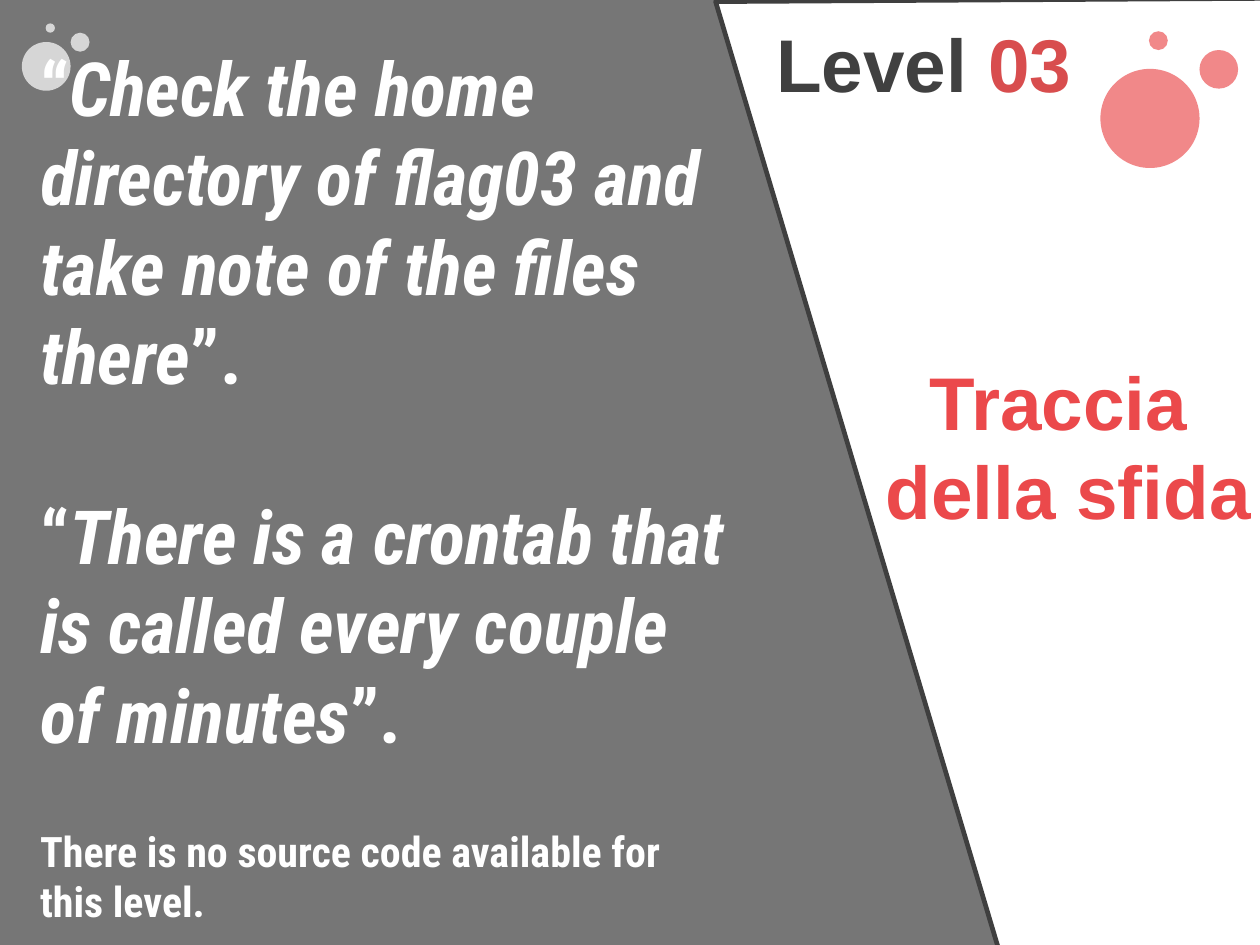
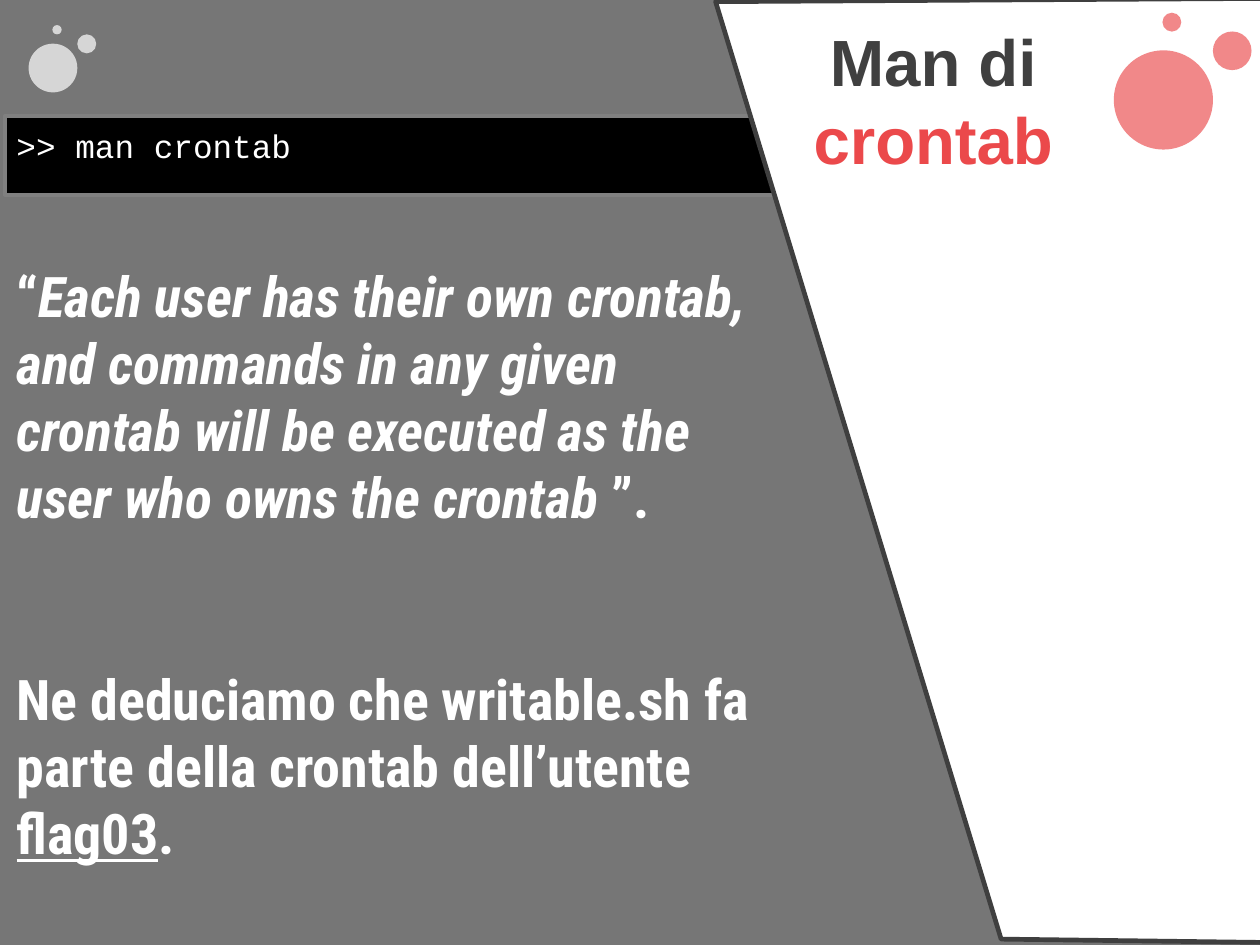
from dataclasses import dataclass

import lxml.etree
import pptx
import pptx.dml.color
import pptx.enum.shapes
import pptx.enum.text
import pptx.oxml.ns
import pptx.presentation
import pptx.shapes.autoshape
import pptx.slide
import pptx.text.text
import pptx.util

Inches = pptx.util.Inches
RGBColor = pptx.dml.color.RGBColor
Preset = pptx.enum.shapes.MSO_SHAPE
Align = pptx.enum.text.PP_ALIGN
Anchor = pptx.enum.text.MSO_ANCHOR
AutoSize = pptx.enum.text.MSO_AUTO_SIZE

# Shared look
WHITE = RGBColor(0xFF, 0xFF, 0xFF)
BLACK = RGBColor(0x00, 0x00, 0x00)
PANEL_GRAY = RGBColor(0x3C, 0x3C, 0x3C)
OUTLINE_GRAY = RGBColor(0x3F, 0x3F, 0x3F)
TITLE_GRAY = RGBColor(0x40, 0x40, 0x40)
TERMINAL_EDGE = RGBColor(0x80, 0x80, 0x80)
RED = RGBColor(0xEB, 0x49, 0x4B)
DARK_RED = RGBColor(0xD8, 0x4D, 0x4E)
HEADING_FONT = "Arial"
BODY_FONT = "Roboto Condensed"
CODE_FONT = "Courier New"
SLIDE_WIDTH = 7.5
SLIDE_HEIGHT = SLIDE_WIDTH * 3 / 4
TITLE_ONLY_LAYOUT = 5


@dataclass(frozen=True)
class Box:
    left: float
    top: float
    width: float
    height: float

    def lengths(self) -> tuple:
        return tuple(Inches(n) for n in (self.left, self.top, self.width, self.height))


@dataclass(frozen=True)
class Run:
    text: str
    color: RGBColor = WHITE
    italic: bool = False
    underline: bool = False


@dataclass(frozen=True)
class Line:
    runs: tuple[Run, ...]
    size: float
    space_before: float = 0


@dataclass(frozen=True)
class Bubble:
    """Offset and diameter, as shares of the largest bubble."""
    across: float
    down: float
    diameter: float


BUBBLES = (Bubble(0, 0, 1), Bubble(1, -0.19, 0.39), Bubble(0.49, -0.38, 0.19))


# Drawing functions
def paint(shape: pptx.shapes.autoshape.Shape, fill: RGBColor, opacity: int = 100,
          line: RGBColor | None = None, line_width: float = 1) -> None:
    shape.shadow.inherit = False
    shape.fill.solid()
    shape.fill.fore_color.rgb = fill
    if opacity < 100:
        color = shape.element.spPr.find(".//" + pptx.oxml.ns.qn("a:srgbClr"))
        lxml.etree.SubElement(color, pptx.oxml.ns.qn("a:alpha"), val=str(opacity * 1000))
    if line is None:
        shape.line.fill.background()
    else:
        shape.line.color.rgb = line
        shape.line.width = pptx.util.Pt(line_width)


def add_run(paragraph: pptx.text.text._Paragraph, text: str, *, size: float, font: str,
            color: RGBColor, bold: bool = True, italic: bool = False,
            underline: bool = False) -> None:
    run = paragraph.add_run()
    run.text = text
    run.font.size = pptx.util.Pt(size)
    run.font.name = font
    run.font.color.rgb = color
    run.font.bold = bold
    run.font.italic = italic
    run.font.underline = underline


def write_lines(shape: pptx.shapes.autoshape.Shape, lines: list[Line], *, font: str,
                align: Align = Align.LEFT, anchor: Anchor = Anchor.MIDDLE,
                bold: bool = True) -> None:
    frame = shape.text_frame
    frame.word_wrap = True
    frame.auto_size = AutoSize.SHAPE_TO_FIT_TEXT
    frame.vertical_anchor = anchor
    for index, line in enumerate(lines):
        paragraph = frame.add_paragraph() if index else frame.paragraphs[0]
        paragraph.alignment = align
        paragraph.space_before = pptx.util.Pt(line.space_before)
        for run in line.runs:
            add_run(paragraph, run.text, size=line.size, font=font, color=run.color,
                    bold=bold, italic=run.italic, underline=run.underline)


def add_text(slide: pptx.slide.Slide, box: Box, lines: list[Line], **text_format) -> None:
    write_lines(slide.shapes.add_textbox(*box.lengths()), lines, **text_format)


def place_title(slide: pptx.slide.Slide, box: Box, lines: list[Line], align: Align) -> None:
    title = slide.shapes.title
    title.left, title.top, title.width, title.height = box.lengths()
    write_lines(title, lines, font=HEADING_FONT, align=align)
    slide.shapes.element.append(title.element)  # bring in front of the wedge


def add_rectangle(slide: pptx.slide.Slide, box: Box, fill: RGBColor, **look) -> None:
    paint(slide.shapes.add_shape(Preset.RECTANGLE, *box.lengths()), fill, **look)


def add_bubbles(slide: pptx.slide.Slide, left: float, top: float, size: float,
                color: RGBColor, opacity: int) -> None:
    group = slide.shapes.add_group_shape()
    for bubble in BUBBLES:
        diameter = size * bubble.diameter
        box = Box(left + size * bubble.across, top + size * bubble.down, diameter, diameter)
        paint(group.shapes.add_shape(Preset.OVAL, *box.lengths()), color, opacity)


def add_wedge(slide: pptx.slide.Slide, left_bottom: float, right_bottom: float) -> None:
    corners = [(Inches(x), Inches(y)) for x, y in (
        (5.96, left_bottom), (4.26, 0.01), (7.59, -0.01), (7.54, right_bottom))]
    builder = slide.shapes.build_freeform(*corners[0])
    builder.add_line_segments(corners[1:], close=True)
    paint(builder.convert_to_shape(), WHITE, line=OUTLINE_GRAY, line_width=2)


def start_slide(presentation: pptx.presentation.Presentation) -> pptx.slide.Slide:
    slide = presentation.slides.add_slide(presentation.slide_layouts[TITLE_ONLY_LAYOUT])
    add_rectangle(slide, Box(0, 0, SLIDE_WIDTH, SLIDE_HEIGHT), PANEL_GRAY, opacity=70)
    return slide


def quote(text: str, size: float, space_before: float = 0) -> Line:
    return Line((Run("“"), Run(text, italic=True), Run("”.")), size, space_before)


# Challenge slide
def build_challenge(presentation: pptx.presentation.Presentation) -> None:
    slide = start_slide(presentation)
    add_bubbles(slide, 0.13, 0.25, 0.29, WHITE, 70)
    add_wedge(slide, 5.7, 5.73)
    add_bubbles(slide, 6.55, 0.41, 0.59, RED, 65)
    add_text(slide, Box(0.14, 0.59, 4.31, 4.58), [
        quote("Check the home directory of flag03 and take note of the files there", 32),
        quote("There is a crontab that is called every couple of minutes", 32, 38.4),
        Line((Run("There is no source code available for this level."),), 18, 28.8),
    ], font=BODY_FONT)
    place_title(slide, Box(4.52, 0.05, 2.17, 0.64),
                [Line((Run("Level ", TITLE_GRAY), Run("03", DARK_RED)), 32)], Align.LEFT)
    add_text(slide, Box(4.87, 2.06, 2.86, 1.18), [
        Line((Run("Traccia", RED),), 32),
        Line((Run(" della sfida", RED),), 32),
    ], font=HEADING_FONT, align=Align.CENTER)


# Manual page slide
def build_manual(presentation: pptx.presentation.Presentation) -> None:
    slide = start_slide(presentation)
    add_rectangle(slide, Box(0.03, 0.69, 6.03, 0.47), BLACK,
                  line=TERMINAL_EDGE, line_width=1.5)
    add_text(slide, Box(0, 0.7, 4.84, 0.34), [Line((Run(">> man crontab"),), 14)],
             font=CODE_FONT, anchor=Anchor.TOP, bold=False)
    add_bubbles(slide, 0.17, 0.26, 0.29, WHITE, 70)
    add_wedge(slide, 5.59, 5.61)
    place_title(slide, Box(4.67, 0.07, 1.77, 1.04), [
        Line((Run("Man di", TITLE_GRAY),), 28),
        Line((Run("crontab", RED),), 28),
    ], Align.CENTER)
    add_text(slide, Box(0, 1.69, 4.61, 3.33), [
        quote("Each user has their own crontab, and commands in any given crontab "
              "will be executed as the user who owns the crontab ", 24),
        Line((Run("Ne deduciamo che writable.sh fa parte della crontab dell’utente "),
              Run("flag03", underline=True), Run(".")), 24, 57.6),
    ], font=BODY_FONT)
    add_bubbles(slide, 6.63, 0.3, 0.59, RED, 65)


presentation = pptx.Presentation()
presentation.slide_width = Inches(SLIDE_WIDTH)
presentation.slide_height = Inches(SLIDE_HEIGHT)
build_challenge(presentation)
build_manual(presentation)
presentation.save("out.pptx")
